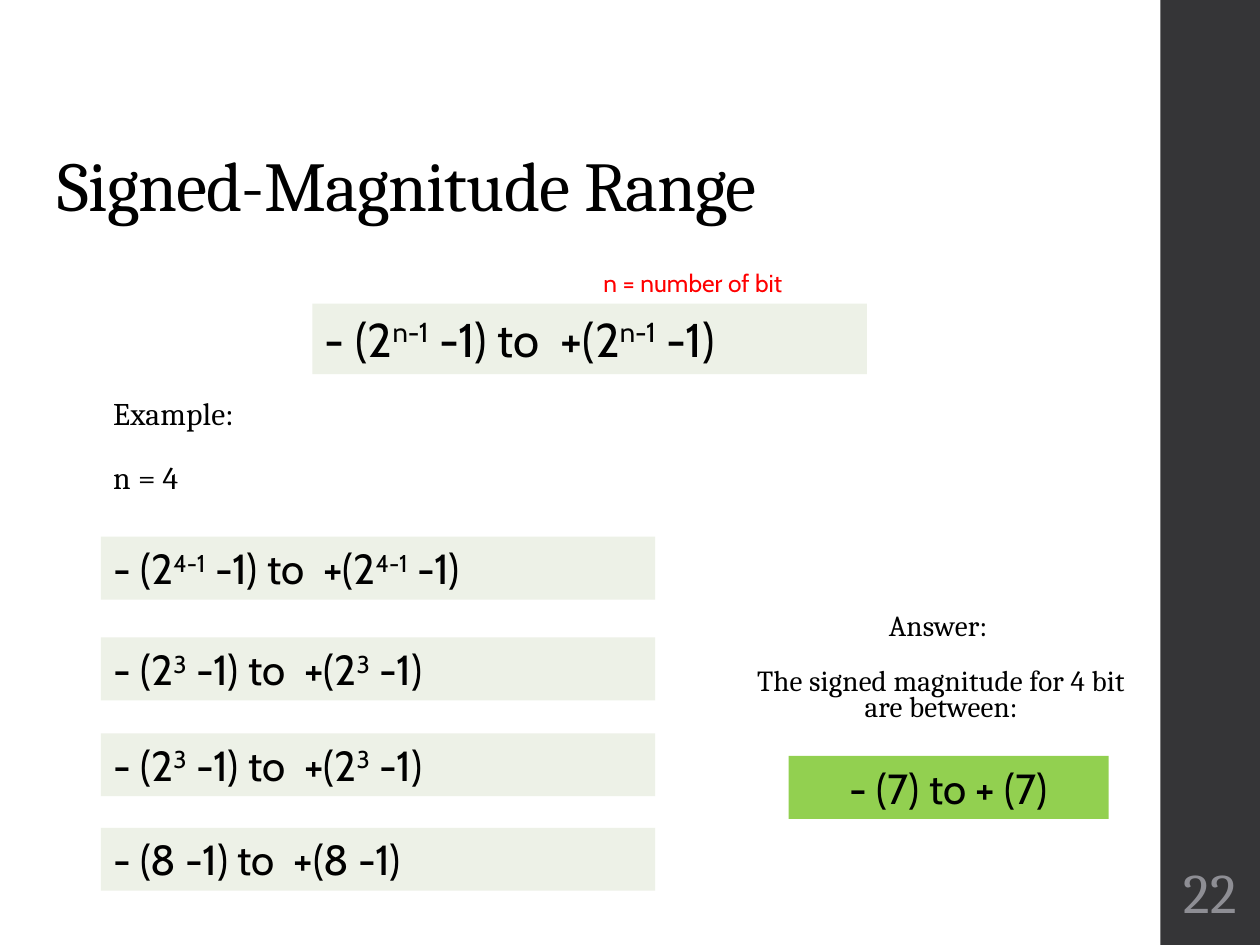
from pptx import Presentation
from pptx import util as u
from pptx.dml.color import RGBColor
from pptx.enum import shapes, text

COLORS = {
    "black": "000000",
    "red": "FF0000",
    "sidebar": "353537",
    "pale": "EDF1E7",
    "green": "92D050",
    "number": "8E8E94",
}
SERIF, SANS = "Cambria", "Cabin"
LEFT, CENTER = text.PP_ALIGN.LEFT, text.PP_ALIGN.CENTER


def rgb(name):
    return RGBColor.from_string(COLORS[name])


def inches(*values):
    return [u.Inches(v) for v in values]


def add_run(p, words, size, font=SERIF, color="black", spacing=None, raised=False):
    r = p.add_run()
    r.text = words
    r.font.size = u.Pt(size)
    r.font.name = font
    r.font.color.rgb = rgb(color)
    if spacing is not None:
        r.font._element.set("spc", str(round(spacing * 100)))
    if raised:
        r.font._element.set("baseline", "30000")


def set_title(s, words):
    sp = s.shapes.title
    sp.left, sp.top, sp.width, sp.height = inches(0.36, 0.4, 8.63, 1.45)
    tf = sp.text_frame
    tf.word_wrap = True
    tf.auto_size = text.MSO_AUTO_SIZE.NONE
    tf.vertical_anchor = text.MSO_ANCHOR.BOTTOM
    p = tf.paragraphs[0]
    p.alignment = LEFT
    p.line_spacing = 0.9
    add_run(p, words, 40, spacing=-0.5)


def add_box(s, at, fill):
    sp = s.shapes.add_shape(shapes.MSO_SHAPE.RECTANGLE, *inches(*at))
    sp.shadow.inherit = False
    sp.fill.solid()
    sp.fill.fore_color.rgb = rgb(fill)
    sp.line.fill.background()
    return sp


def add_formula(s, at, parts, size=24, fill="pale", align=LEFT):
    tf = add_box(s, at, fill).text_frame
    tf.word_wrap = True
    tf.vertical_anchor = text.MSO_ANCHOR.TOP
    p = tf.paragraphs[0]
    p.alignment = align
    for i, part in enumerate(parts):
        add_run(p, part, size, SANS, raised=i % 2 == 1)


def power_range(exponent):
    return ["- (2", exponent, " -1) to  +(2", exponent, " -1)"]


def add_text(s, at):
    tf = s.shapes.add_textbox(*inches(*at)).text_frame
    tf.word_wrap = True
    return tf


def add_paragraphs(s, at, lines, size, line_spacing, align=LEFT):
    tf = add_text(s, at)
    for i, line in enumerate(lines):
        p = tf.add_paragraph() if i else tf.paragraphs[0]
        p.alignment = align
        p.line_spacing = line_spacing
        p.space_before = u.Pt(14 if i else 0)
        p.space_after = u.Pt(2)
        add_run(p, line, size, spacing=0.1)


def add_label(s, at, words, size, font, color):
    tf = add_text(s, at)
    add_run(tf.paragraphs[0], words, size, font, color)
    return tf


def add_page_number(s, number):
    tf = add_label(s, (9.23, 6.75, 0.75, 0.65), number, 32, SERIF, "number")
    tf.margin_left = tf.margin_right = u.Inches(0.03)
    tf.vertical_anchor = text.MSO_ANCHOR.MIDDLE
    tf.paragraphs[0].alignment = CENTER


def main():
    prs = Presentation()
    prs.slide_width, prs.slide_height = inches(10, 7.5)
    s = prs.slides.add_slide(prs.slide_layouts[5])

    add_box(s, (9.21, 0, 0.8, 7.5), "sidebar")
    set_title(s, "Signed-Magnitude Range")
    add_paragraphs(s, (0.8, 3.1, 7.74, 1.02), ["Example:", "n = 4"], 18, 0.95)
    add_formula(s, (2.48, 2.41, 4.4, 0.56), power_range("n-1"), size=27)
    add_label(s, (4.69, 2.08, 2.2, 0.34), "n = number of bit", 14, SANS, "red")

    steps = [
        (4.26, power_range("4-1")),
        (5.06, power_range("3")),
        (5.82, power_range("3")),
        (6.57, ["- (8 -1) to  +(8 -1)"]),
    ]
    for top, parts in steps:
        add_formula(s, (0.8, top, 4.4, 0.5), parts)

    add_formula(s, (6.26, 6, 2.54, 0.5), ["- (7) to + (7)"], fill="green", align=CENTER)
    answer = ["Answer: ", "The signed magnitude for 4 bit are between:"]
    add_paragraphs(s, (5.79, 4.84, 3.36, 1.02), answer, 16.6, 0.75, CENTER)
    add_page_number(s, "22")

    prs.save("out.pptx")


if __name__ == "__main__":
    main()
